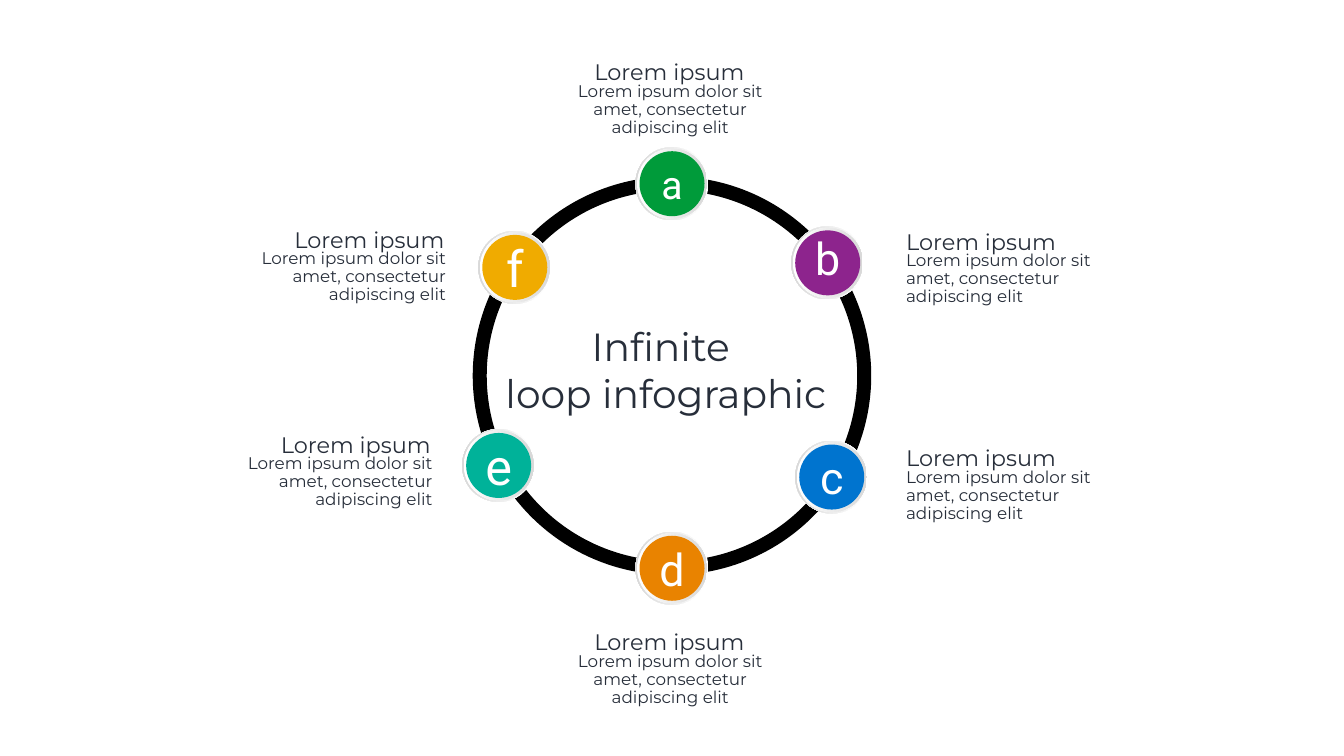
from pptx import Presentation
from pptx.dml.color import RGBColor
from pptx.enum.shapes import MSO_SHAPE as Shape
from pptx.enum.text import MSO_ANCHOR as Anchor, MSO_AUTO_SIZE as Fit, PP_ALIGN as Align
from pptx.util import Inches, Pt

COLS, ROWS = 26.67, 15
CELL = Inches(1)
INK, WHITE, GREY = "272E3A", "FFFFFF", "D9D9D9"
DISC = 1.45
RING = (9.52, 3.64, 7.63, 7.63)
HEAD, BODY = "Lorem ipsum", "Lorem ipsum dolor sit amet, consectetur adipiscing elit"
PAD = (0.53, 0.05, 0.53, 0.13)
PLAIN = (0.1, 0.05, 0.1, 0.05)
NODES = [
    ("a", 12.61, 2.92, "009B3A", 56, PLAIN),
    ("e", 9.17, 8.51, "00B299", 72, PLAIN),
    ("f", 9.49, 4.58, "F0AB00", 72, PLAIN),
    ("c", 15.78, 8.74, "0074CF", 64, PLAIN),
    ("b", 15.7, 4.49, "8D248D", 64, (0.1, 0, 0.1, 0.2)),
    ("d", 12.61, 10.55, "E98300", 64, PLAIN),
]
LABELS = [
    (4.02, 4.49, Align.RIGHT),
    (3.75, 8.56, Align.RIGHT),
    (10.62, 1.17, Align.CENTER),
    (10.62, 12.48, Align.CENTER),
    (17.45, 4.53, Align.LEFT),
    (17.45, 8.83, Align.LEFT),
]


def paint(code):
    """Turn a hex string into a colour."""
    return RGBColor.from_string(code)


def span(*cells):
    """Turn grid cells into lengths."""
    return [round(n * CELL) for n in cells]


def apply(item, form):
    """Set each attribute named in a dict."""
    for key, value in form.items():
        setattr(item, key, value)


def write(shape, lines, size, face, tint, align, pad=PLAIN, **form):
    """Fill a shape with formatted lines of text."""
    frame = shape.text_frame
    sides = ("margin_left", "margin_top", "margin_right", "margin_bottom")
    apply(frame, dict(zip(sides, span(*pad)), word_wrap=True, text="\n".join(lines)))
    apply(frame, form)
    for para in frame.paragraphs:
        para.alignment = align
        apply(para.font, {"size": Pt(size), "name": face})
        para.font.color.rgb = paint(tint)
    return frame


def draw_ring(slide, box):
    """Draw the loop, open only behind the lowest node."""
    ring = slide.shapes.add_shape(Shape.ARC, *span(*box))
    ring.shadow.inherit = False
    ring.fill.background()
    for spot, angle in enumerate((92.01, 86.07)):
        ring.adjustments[spot] = angle * 0.6
    ring.line.color.rgb = paint("000000")
    ring.line.width = Pt(20)


def draw_disc(group, box, inset):
    """Add a circle set in from the edges of a box."""
    left, top, size = box
    side = size - 2 * inset
    disc = group.shapes.add_shape(Shape.OVAL, *span(left + inset, top + inset, side, side))
    disc.shadow.inherit = False
    disc.line.fill.background()
    return disc


def draw_node(slide, box, mark, tint, size, pad):
    """Build a rimmed disc with its letter."""
    group = slide.shapes.add_group_shape()
    for inset, angle in ((0, 180), (0.03, 0)):
        fill = draw_disc(group, box, inset).fill
        fill.gradient()
        fill.gradient_angle = angle
        for stop, place, shade in zip(fill.gradient_stops, (0.01, 1), (WHITE, GREY)):
            stop.position = place
            stop.color.rgb = paint(shade)
    face = draw_disc(group, box, 0.08)
    face.fill.solid()
    face.fill.fore_color.rgb = paint(tint)
    write(face, [mark], size, "Roboto", WHITE, Align.CENTER, pad, vertical_anchor=Anchor.MIDDLE)


def draw_label(slide, left, top, align):
    """Place a heading above its body text."""
    group = slide.shapes.add_group_shape()
    parts = ((BODY, 24, 0.42, 5.36, 1.26), (HEAD, 32, 0, 5.33, 0.66))
    for text, size, drop, wide, high in parts:
        box = group.shapes.add_textbox(*span(left, top + drop, wide, high))
        frame = write(box, [text], size, "Montserrat", INK, align, PAD,
                      vertical_anchor=Anchor.MIDDLE, auto_size=Fit.SHAPE_TO_FIT_TEXT)
        frame.paragraphs[0].line_spacing = 0.89


def draw_title(slide, box):
    """Write the title in the middle of the loop."""
    title = slide.shapes.add_textbox(*span(*box))
    write(title, ["Infinite ", "loop infographic"], 56, "Montserrat", INK, Align.CENTER,
          auto_size=Fit.SHAPE_TO_FIT_TEXT)


def main():
    """Build and save the slide."""
    deck = Presentation()
    deck.slide_width, deck.slide_height = span(COLS, ROWS)
    slide = deck.slides.add_slide(deck.slide_layouts[6])
    draw_ring(slide, RING)
    for mark, left, top, tint, size, pad in NODES:
        draw_node(slide, (left, top, DISC), mark, tint, size, pad)
    for left, top, align in LABELS:
        draw_label(slide, left, top, align)
    draw_title(slide, (9.14, 6.34, 8.15, 1.99))
    deck.save("out.pptx")


if __name__ == "__main__":
    main()
